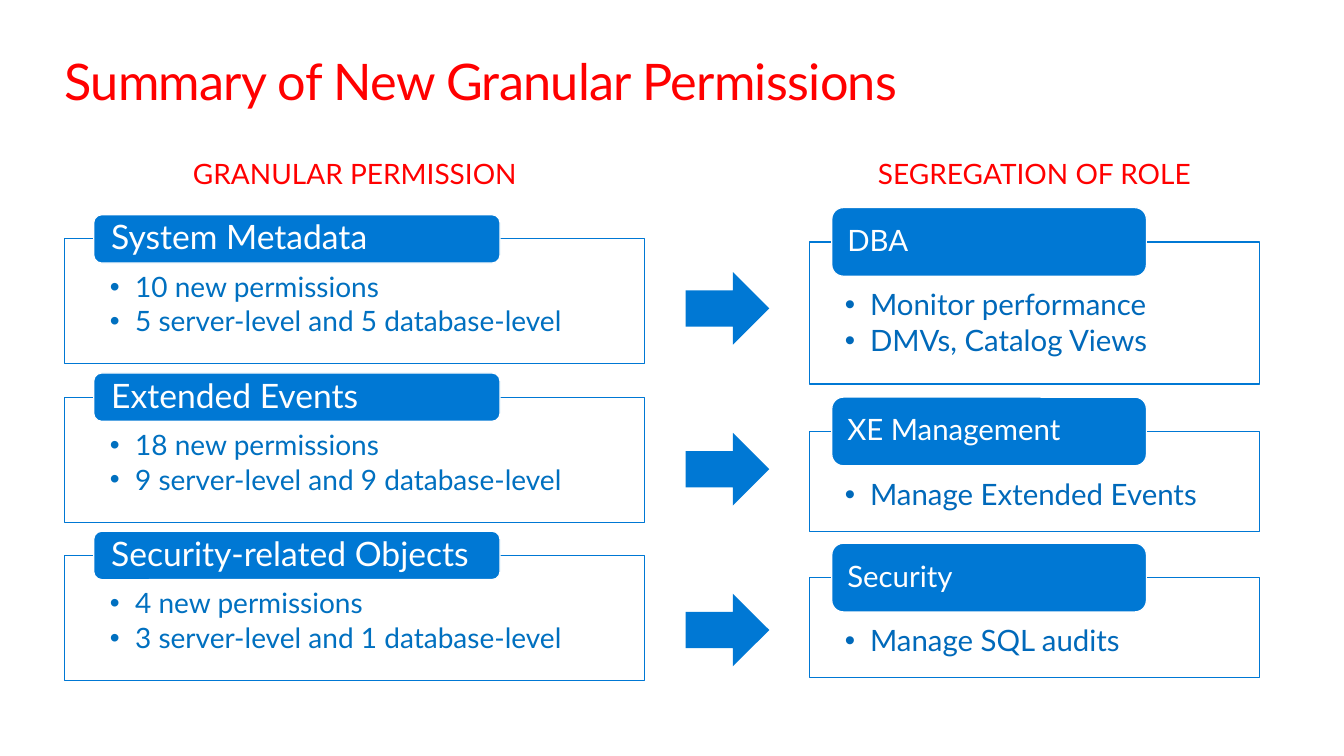
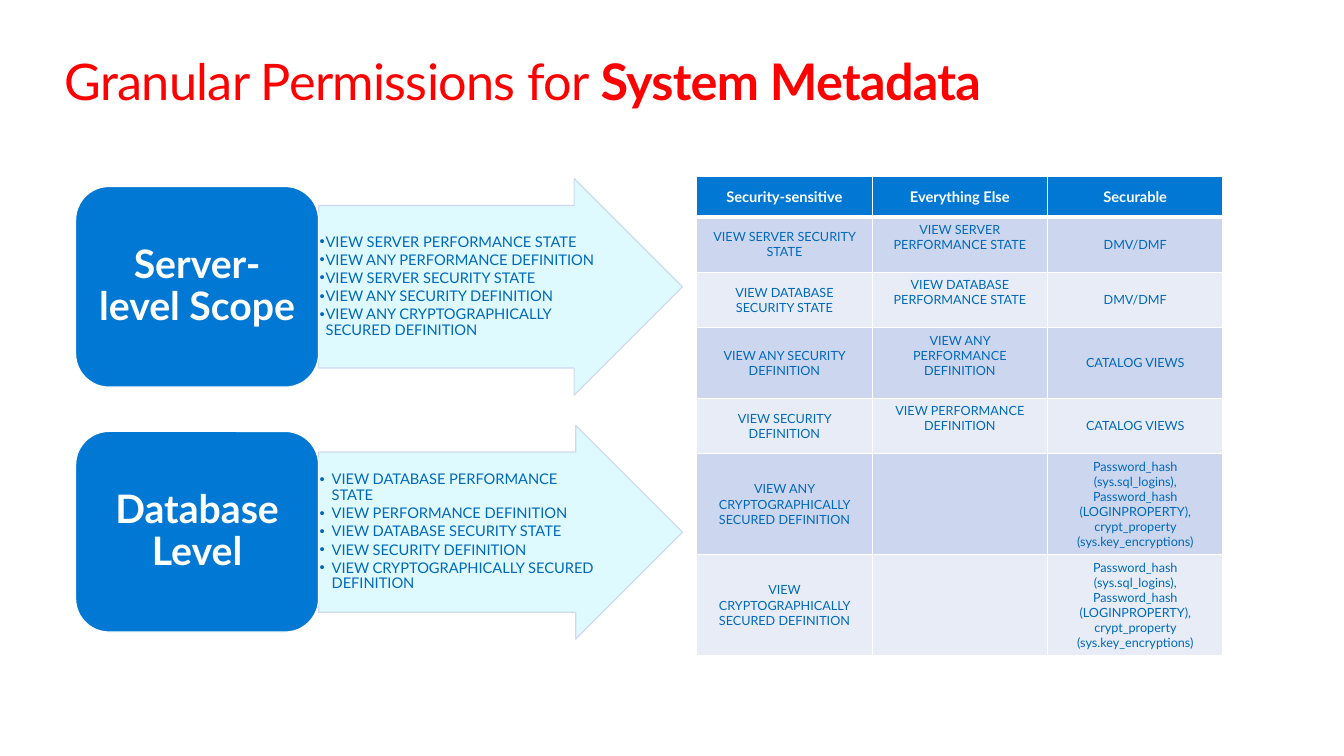
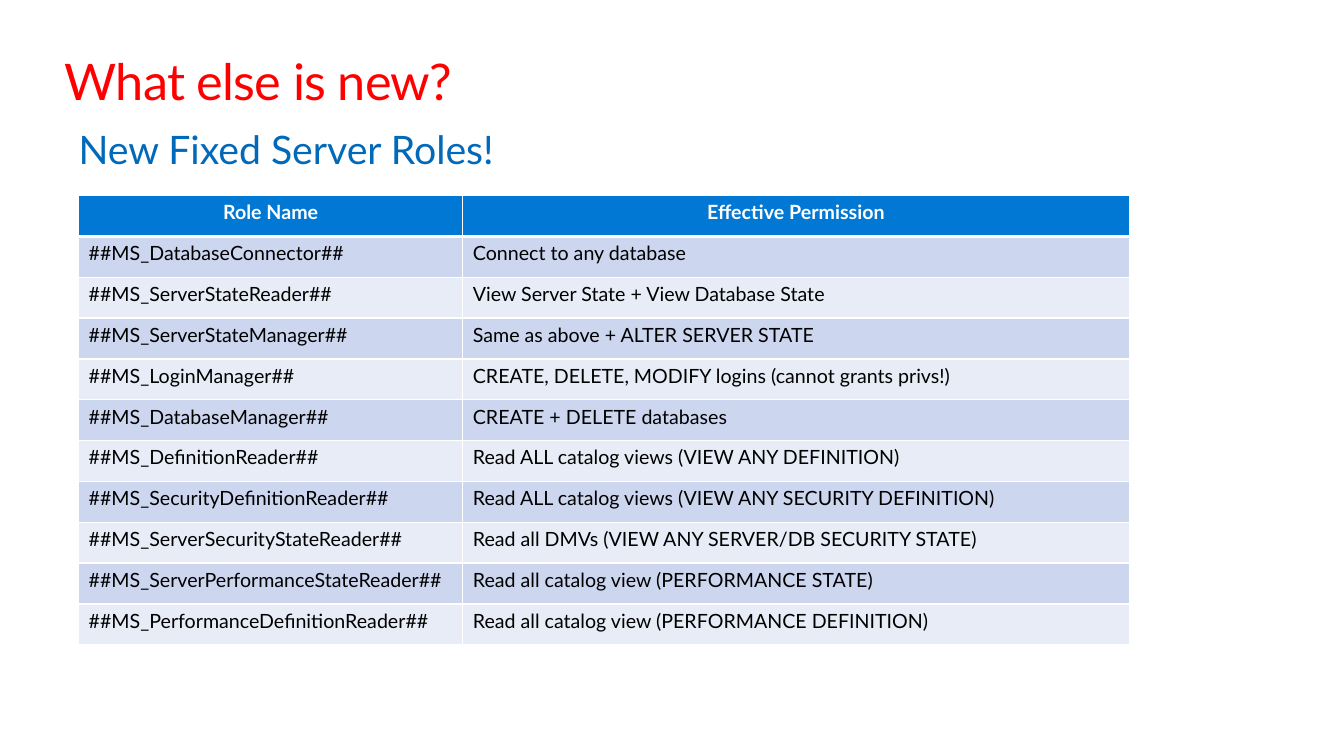
from lxml.etree import SubElement
from pptx import Presentation
from pptx.dml.color import RGBColor
from pptx.enum.shapes import MSO_SHAPE
from pptx.enum.text import MSO_ANCHOR, PP_ALIGN
from pptx.oxml import parse_xml
from pptx.oxml.ns import nsdecls, qn
from pptx.util import Inches, Pt

# Shared look
FONT = "Lato"
RED = RGBColor(0xFF, 0x00, 0x00)
BLUE = RGBColor(0x00, 0x78, 0xD4)
BODY_BLUE = RGBColor(0x00, 0x70, 0xC0)
TEXT_BLUE = RGBColor(0x00, 0x69, 0xBA)
PALE_CYAN = RGBColor(0xDC, 0xFA, 0xFF)
BAND_DARK = RGBColor(0xCC, 0xD6, 0xEF)
BAND_LIGHT = RGBColor(0xE7, 0xEC, 0xF7)
WHITE = RGBColor(0xFF, 0xFF, 0xFF)
BLACK = RGBColor(0x00, 0x00, 0x00)
NO_INSETS = (0, 0, 0, 0)


def write(frame, lines, size, color, insets=None, bold=False,
          align=PP_ALIGN.LEFT, anchor=MSO_ANCHOR.TOP, indent=0, after=None):
    """Fill a text frame; indent adds bullets, after is a share of the size."""
    frame.word_wrap = True
    frame.vertical_anchor = anchor
    if insets is not None:
        (frame.margin_left, frame.margin_top,
         frame.margin_right, frame.margin_bottom) = map(Inches, insets)
    for number, line in enumerate(lines):
        paragraph = frame.add_paragraph() if number else frame.paragraphs[0]
        paragraph.alignment = align
        if after is not None:
            paragraph.line_spacing = 0.9
            paragraph.space_after = Pt(size * after)
        if indent:
            properties = paragraph._p.get_or_add_pPr()
            properties.set("marL", str(Inches(indent)))
            properties.set("indent", str(-Inches(indent)))
            SubElement(properties, qn("a:buFont")).set("typeface", "Arial")
            SubElement(properties, qn("a:buChar")).set("char", "•")
        run = paragraph.add_run()
        run.text = line
        run.font.name, run.font.size = FONT, Pt(size)
        run.font.bold, run.font.color.rgb = bold, color


def add_block(slide, kind, box, fill, line=None):
    block = slide.shapes.add_shape(kind, *map(Inches, box))
    block.shadow.inherit = False
    block.fill.solid()
    block.fill.fore_color.rgb = fill
    if line is None:
        block.line.fill.background()
    else:
        block.line.color.rgb = line
        block.line.width = Pt(0.85)
    return block


deck = Presentation()
deck.slide_width, deck.slide_height = Inches(13.33), Inches(7.5)

# Slides and their titles
titles = [
    [("Summary of New Granular Permissions", False)],
    [("Granular Permissions for ", False), ("System Metadata", True)],
    [("What else is new?", False)],
]
for title_parts in titles:
    slide = deck.slides.add_slide(deck.slide_layouts[6])
    title = slide.shapes.add_textbox(*map(Inches, (0.64, 0.5, 12.05, 0.61)))
    write(title.text_frame, [], 36, RED, NO_INSETS)
    for text, bold in title_parts:
        run = title.text_frame.paragraphs[0].add_run()
        run.text = text
        run.font.name, run.font.size = FONT, Pt(36)
        run.font.bold, run.font.color.rgb = bold, RED
        run._r.get_or_add_rPr().set("spc", "-50")
summary, metadata, roles = deck.slides

# Headings under the titles
for slide, text, box, size, color, align in [
    (summary, "GRANULAR PERMISSION", (1.89, 1.55, 3.26, 0.34), 20, RED, PP_ALIGN.CENTER),
    (summary, "SEGREGATION OF ROLE", (8.63, 1.55, 3.26, 0.34), 20, RED, PP_ALIGN.CENTER),
    (roles, "New Fixed Server Roles!", (0.78, 1.24, 8.55, 0.47), 28, TEXT_BLUE, PP_ALIGN.LEFT),
]:
    heading = slide.shapes.add_textbox(*map(Inches, box))
    write(heading.text_frame, [text], size, color, NO_INSETS, align=align)

# Summary: permission cards on the left, role cards on the right
# Column: left, width, tag offset, tag width, tag height, tag inset,
# body insets, tag size, body size, body colour, cards (top, height, tag, bullets)
columns = [
    (0.64, 5.75, 0.29, 4.03, 0.48, 0.15, (0.45, 0.34, 0.45, 0.16), 24, 20, BODY_BLUE, [
        (2.37, 1.24, "System Metadata",
         ["10 new permissions", "5 server-level and 5 database-level"]),
        (3.94, 1.24, "Extended Events",
         ["18 new permissions", "9 server-level and 9 database-level"]),
        (5.51, 1.24, "Security-related Objects",
         ["4 new permissions", "3 server-level and 1 database-level"]),
    ]),
    (8.03, 4.46, 0.22, 3.12, 0.68, 0.12, (0.35, 0.48, 0.35, 0.16), 21, 21, TEXT_BLUE, [
        (2.4, 1.41, "DBA", ["Monitor performance", "DMVs, Catalog Views"]),
        (4.28, 0.99, "XE Management", ["Manage Extended Events"]),
        (5.73, 0.99, "Security", ["Manage SQL audits"]),
    ]),
]
for (left, width, tag_offset, tag_width, tag_height, tag_inset,
     body_insets, tag_size, body_size, body_color, cards) in columns:
    for top, height, tag_text, bullets in cards:
        body = add_block(summary, MSO_SHAPE.RECTANGLE,
                         (left, top, width, height), WHITE, BLUE)
        write(body.text_frame, bullets, body_size, body_color, body_insets,
              indent=0.25, after=0.15)
        tag = add_block(summary, MSO_SHAPE.ROUNDED_RECTANGLE,
                        (left + tag_offset, top - tag_height / 2, tag_width, tag_height),
                        BLUE, WHITE)
        write(tag.text_frame, [tag_text], tag_size, WHITE, (tag_inset, 0, tag_inset, 0),
              anchor=MSO_ANCHOR.MIDDLE, after=0.35)

for row in range(3):
    add_block(summary, MSO_SHAPE.RIGHT_ARROW, (6.8, 2.7 + 1.595 * row, 0.83, 0.72), BLUE)

# System metadata: scopes with their permissions
for scope_top, scope_text, arrow_top, arrow_height, indent, permissions in [
    (1.85, "Server-level Scope", 1.77, 2.15, 0.06,
     ["VIEW SERVER PERFORMANCE STATE", "VIEW ANY PERFORMANCE DEFINITION",
      "VIEW SERVER SECURITY STATE", "VIEW ANY SECURITY DEFINITION",
      "VIEW ANY CRYPTOGRAPHICALLY SECURED DEFINITION"]),
    (4.28, "Database Level", 4.22, 2.12, 0.12,
     ["VIEW DATABASE PERFORMANCE STATE", "VIEW PERFORMANCE DEFINITION",
      "VIEW DATABASE SECURITY STATE", "VIEW SECURITY DEFINITION",
      "VIEW CRYPTOGRAPHICALLY SECURED DEFINITION"]),
]:
    arrow = add_block(metadata, MSO_SHAPE.RIGHT_ARROW,
                      (3.16, arrow_top, 3.61, arrow_height), PALE_CYAN, BAND_DARK)
    arrow.adjustments[0] = 0.75
    arrow.adjustments[1] = 0.5
    for color in arrow._element.spPr.iter(qn("a:srgbClr")):
        SubElement(color, qn("a:alpha")).set("val", "90000")
    write(arrow.text_frame, permissions, 10.5, TEXT_BLUE, (0.01, 0.01, 0.01, 0.01),
          anchor=MSO_ANCHOR.MIDDLE, indent=indent, after=0.15)
    scope = add_block(metadata, MSO_SHAPE.ROUNDED_RECTANGLE,
                      (0.75, scope_top, 2.41, 1.99), BLUE, WHITE)
    write(scope.text_frame, [scope_text], 28, WHITE, (0.12, 0.06, 0.12, 0.06), bold=True,
          align=PP_ALIGN.CENTER, anchor=MSO_ANCHOR.MIDDLE, after=0.35)

# Tables
KEY_COLUMNS = ("Password_hash (sys.sql_logins), Password_hash (LOGINPROPERTY), "
               "crypt_property (sys.key_encryptions)")
permission_rows = [
    ("Security-sensitive", "Everything Else", "Securable"),
    ("VIEW SERVER SECURITY STATE", "VIEW SERVER PERFORMANCE STATE", "DMV/DMF"),
    ("VIEW DATABASE SECURITY STATE", "VIEW DATABASE PERFORMANCE STATE", "DMV/DMF"),
    ("VIEW ANY SECURITY DEFINITION", "VIEW ANY PERFORMANCE DEFINITION", "CATALOG VIEWS"),
    ("VIEW SECURITY DEFINITION", "VIEW PERFORMANCE DEFINITION", "CATALOG VIEWS"),
    ("VIEW ANY CRYPTOGRAPHICALLY SECURED DEFINITION", "", KEY_COLUMNS),
    ("VIEW CRYPTOGRAPHICALLY SECURED DEFINITION", "", KEY_COLUMNS),
]
role_rows = [
    ("Role Name", "Effective Permission"),
    ("##MS_DatabaseConnector##", "Connect to any database"),
    ("##MS_ServerStateReader##", "View Server State + View Database State"),
    ("##MS_ServerStateManager##", "Same as above + ALTER SERVER STATE"),
    ("##MS_LoginManager##", "CREATE, DELETE, MODIFY logins (cannot grants privs!)"),
    ("##MS_DatabaseManager##", "CREATE + DELETE databases"),
    ("##MS_DefinitionReader##", "Read ALL catalog views (VIEW ANY DEFINITION)"),
    ("##MS_SecurityDefinitionReader##",
     "Read ALL catalog views (VIEW ANY SECURITY DEFINITION)"),
    ("##MS_ServerSecurityStateReader##",
     "Read all DMVs (VIEW ANY SERVER/DB SECURITY STATE)"),
    ("##MS_ServerPerformanceStateReader##", "Read all catalog view (PERFORMANCE STATE)"),
    ("##MS_PerformanceDefinitionReader##",
     "Read all catalog view (PERFORMANCE DEFINITION)"),
]
MIDDLE, TOP = MSO_ANCHOR.MIDDLE, MSO_ANCHOR.TOP
for (slide, left, top, widths, heights, rows, head_size, body_size,
     body_color, body_align, head_anchor, body_anchors) in [
    (metadata, 6.91, 1.75, [1.74] * 3, [0.4, 0.55, 0.55, 0.7, 0.55, 1, 1], permission_rows,
     10.5, 9, TEXT_BLUE, PP_ALIGN.CENTER, MIDDLE, (MIDDLE, TOP, MIDDLE)),
    (roles, 0.78, 1.94, [3.81, 6.61], [4.46 / 11] * 11, role_rows,
     14, 14, BLACK, PP_ALIGN.LEFT, TOP, (TOP, TOP)),
]:
    table = slide.shapes.add_table(len(rows), len(widths), Inches(left), Inches(top),
                                   Inches(sum(widths)), Inches(sum(heights))).table
    for column, width in zip(table.columns, widths):
        column.width = Inches(width)
    for row_number, texts in enumerate(rows):
        table.rows[row_number].height = Inches(heights[row_number])
        is_head = row_number == 0
        band = BLUE if is_head else (BAND_LIGHT, BAND_DARK)[row_number % 2]
        for column_number, text in enumerate(texts):
            cell = table.cell(row_number, column_number)
            cell.fill.solid()
            cell.fill.fore_color.rgb = band
            for position, side in enumerate("LRTB"):
                thick = (is_head and side == "B") or (row_number == 1 and side == "T")
                cell._tc.get_or_add_tcPr().insert(position, parse_xml(
                    f'<a:ln{side} {nsdecls("a")} w="{Pt(3 if thick else 1)}">'
                    f'<a:solidFill><a:srgbClr val="{WHITE}"/></a:solidFill></a:ln{side}>'))
            if text:
                write(cell.text_frame, [text], head_size if is_head else body_size,
                      WHITE if is_head else body_color, bold=is_head,
                      align=PP_ALIGN.CENTER if is_head else body_align)
            cell.vertical_anchor = head_anchor if is_head else body_anchors[column_number]

deck.save("out.pptx")
